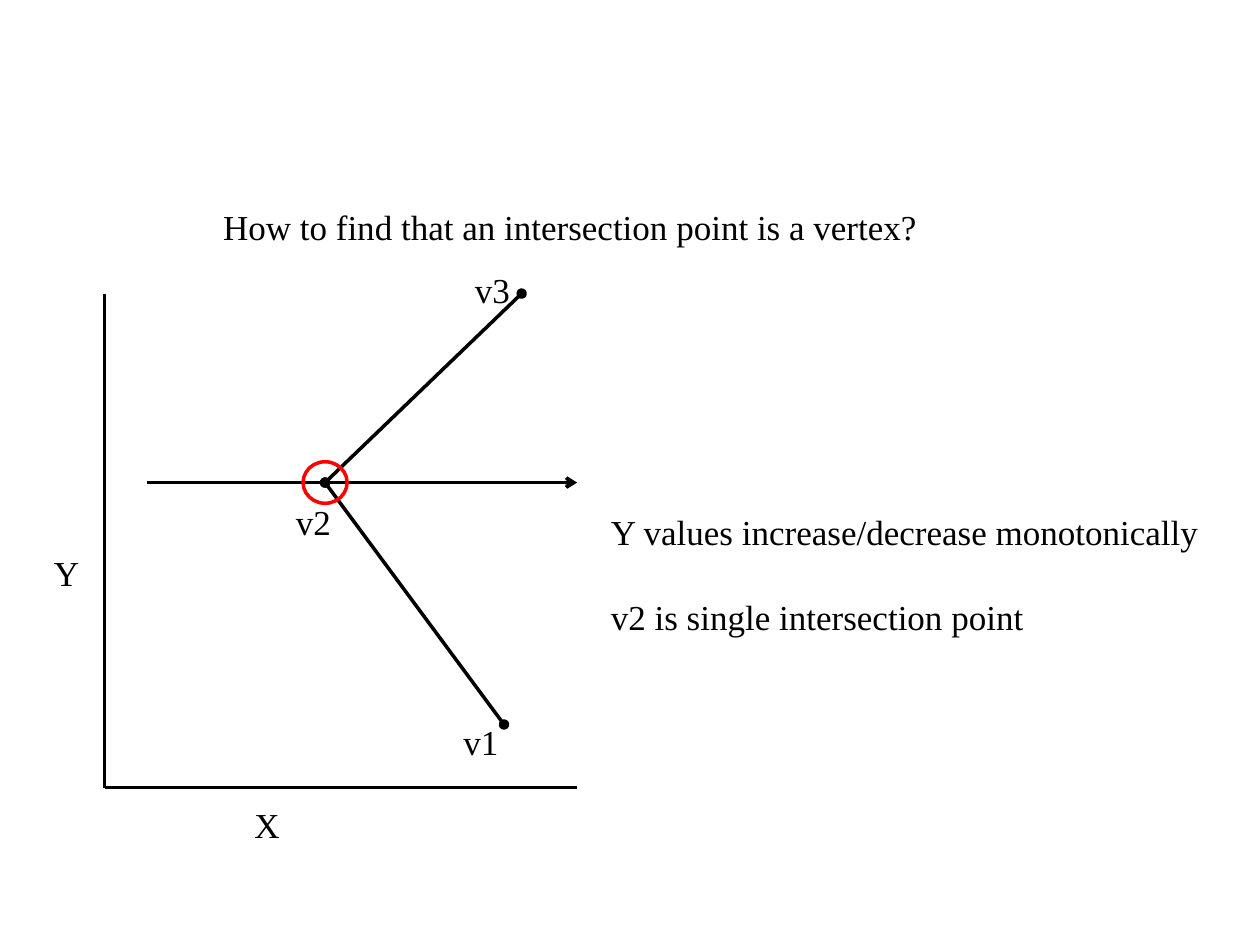
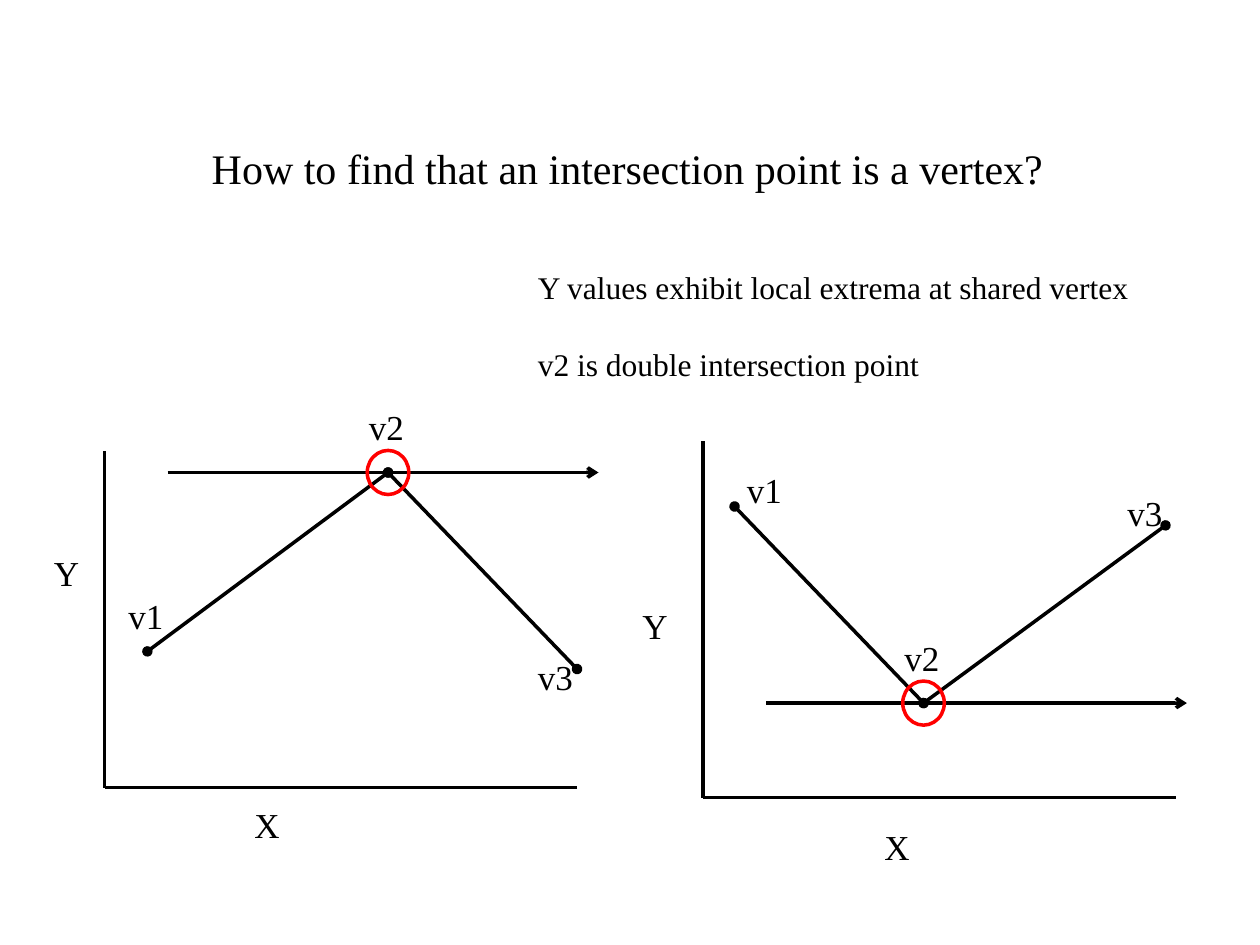
from dataclasses import dataclass

from lxml import etree
from pptx import Presentation
from pptx.dml.color import RGBColor
from pptx.enum.shapes import MSO_CONNECTOR, MSO_SHAPE
from pptx.enum.text import MSO_ANCHOR, MSO_AUTO_SIZE, PP_ALIGN
from pptx.oxml.ns import qn
from pptx.util import Inches, Pt

BLACK = RGBColor(0x00, 0x00, 0x00)
RED = RGBColor(0xFF, 0x00, 0x00)
FONT = "Times New Roman"
LABEL_SIZE = 20
LINE_WIDTH = Pt(2)
QUESTION = "How to find that an intersection point is a vertex?"


@dataclass
class Plot:
    """Positions in inches, relative to the top left corner of the plot."""
    axis_x: float
    axis_top: float
    axis_bottom: float
    ray: tuple        # left and right end of the scan line
    vertices: dict    # the middle vertex v2 lies on the scan line
    labels: dict
    ring: tuple       # width and height of the ring around v2


def write(shape, lines, size, gap=0):
    tf = shape.text_frame
    tf.word_wrap = True
    tf.auto_size = MSO_AUTO_SIZE.NONE
    tf.vertical_anchor = MSO_ANCHOR.TOP
    for i, line in enumerate(lines):
        p = tf.add_paragraph() if i else tf.paragraphs[0]
        p.alignment = PP_ALIGN.LEFT
        p.space_before = Pt(gap if i else 0)
        r = p.add_run()
        r.text = line
        r.font.name = FONT
        r.font.size = Pt(size)
        r.font.color.rgb = BLACK


def add_text(s, x, y, w, h, lines, size, gap=0):
    tb = s.shapes.add_textbox(Inches(x), Inches(y), Inches(w), Inches(h))
    write(tb, lines, size, gap)


def add_line(s, start, end, head=None, tail=None):
    c = s.shapes.add_connector(
        MSO_CONNECTOR.STRAIGHT, *(Inches(v) for v in (*start, *end)))
    c.line.color.rgb = BLACK
    c.line.width = LINE_WIDTH
    ln = c.line._get_or_add_ln()
    for tag, kind in (("a:headEnd", head), ("a:tailEnd", tail)):
        if kind:
            etree.SubElement(ln, qn(tag), type=kind)
    etree.SubElement(c._element.spPr, qn("a:effectLst"))


def add_slide(prs, x, y, h, size):
    """Slide with the shared question as its title."""
    s = prs.slides.add_slide(prs.slide_layouts[5])
    title = s.shapes.title
    title.left, title.top = Inches(x), Inches(y)
    title.width, title.height = Inches(6.92), Inches(h)
    write(title, [QUESTION], size)
    return s


def add_plot(s, left, top, plot):
    def at(x, y):
        return left + x, top + y

    # Axes
    corner = at(plot.axis_x, plot.axis_bottom)
    add_line(s, at(plot.axis_x, plot.axis_top), corner)
    add_line(s, at(plot.axis_x + 3.75, plot.axis_bottom), corner)

    # Two edges that share v2, and the scan line through it
    x2, y2 = plot.vertices["v2"]
    for name in ("v1", "v3"):
        add_line(s, at(*plot.vertices[name]), at(x2, y2), "oval", "oval")
    ray_start, ray_end = plot.ray
    add_line(s, at(ray_start, y2), at(ray_end, y2), tail="arrow")

    # Ring around the intersection
    w, h = plot.ring
    x, y = at(x2 - w / 2, y2 - h / 2)
    ring = s.shapes.add_shape(
        MSO_SHAPE.OVAL, Inches(x), Inches(y), Inches(w), Inches(h))
    ring.shadow.inherit = False
    ring.fill.background()
    ring.line.color.rgb = RED
    ring.line.width = LINE_WIDTH

    # Axis and vertex labels
    for name, place in plot.labels.items():
        add_text(s, *at(*place), 0.5, 0.44, [name], LABEL_SIZE)


MONOTONIC = Plot(
    axis_x=0.5, axis_top=0.25, axis_bottom=4.17, ray=(0.84, 4.25),
    vertices={"v1": (3.67, 3.67), "v2": (2.25, 1.75), "v3": (3.81, 0.25)},
    labels={"X": (1.59, 4.25), "Y": (0, 2.25), "v1": (3.25, 3.59),
            "v2": (1.92, 1.84), "v3": (3.34, 0)},
    ring=(0.35, 0.33))
MAXIMUM = Plot(
    axis_x=0.5, axis_top=0.41, axis_bottom=3.08, ray=(1, 4.42),
    vertices={"v1": (0.84, 2), "v2": (2.75, 0.58), "v3": (4.25, 2.14)},
    labels={"X": (1.59, 3.16), "Y": (0, 1.16), "v1": (0.59, 1.5),
            "v2": (2.5, 0), "v3": (3.84, 1.98)},
    ring=(0.33, 0.35))
MINIMUM = Plot(
    axis_x=0.58, axis_top=0, axis_bottom=2.83, ray=(1.08, 4.42),
    vertices={"v1": (0.83, 0.52), "v2": (2.33, 2.08), "v3": (4.25, 0.67)},
    labels={"X": (1.92, 3), "Y": (0, 1.25), "v1": (0.83, 0.17),
            "v2": (2.08, 1.5), "v3": (3.85, 0.35)},
    ring=(0.33, 0.35))


def single_intersection(prs):
    s = add_slide(prs, 1.67, 1.58, 0.44, 20)
    add_plot(s, 0.33, 2.08, MONOTONIC)
    add_text(s, 4.75, 4, 5, 1.45,
             ["Y values increase/decrease monotonically",
              "v2 is single intersection point"], 20, gap=25)


def double_intersection(prs):
    s = add_slide(prs, 1.58, 1.08, 0.5, 24)
    add_text(s, 4.17, 2.08, 5.33, 1.31,
             ["Y values exhibit local extrema at shared vertex",
              "v2 is double intersection point"], 18, gap=22)
    add_plot(s, 0.33, 3.17, MAXIMUM)
    add_plot(s, 5, 3.5, MINIMUM)


def main():
    prs = Presentation()
    prs.slide_width, prs.slide_height = Inches(10), Inches(7.5)
    single_intersection(prs)
    double_intersection(prs)
    prs.save("out.pptx")


if __name__ == "__main__":
    main()
